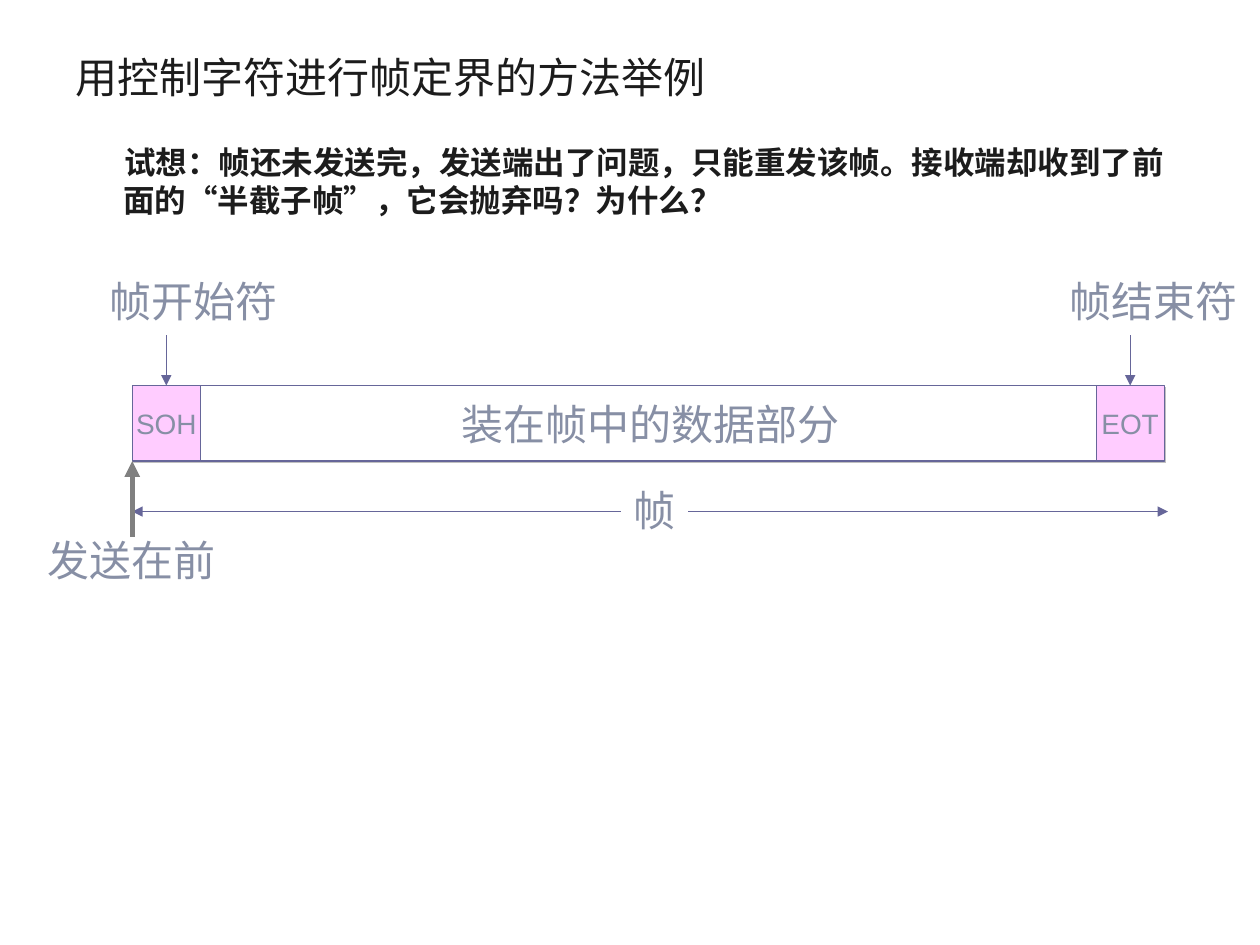
from pptx import Presentation
from pptx.dml.color import RGBColor
from pptx.enum.lang import MSO_LANGUAGE_ID
from pptx.enum.shapes import MSO_CONNECTOR, MSO_SHAPE
from pptx.enum.text import MSO_ANCHOR, PP_ALIGN
from pptx.oxml.ns import qn
from pptx.util import Pt
from lxml import etree

RECT = MSO_SHAPE.RECTANGLE
LINE = MSO_CONNECTOR.STRAIGHT
LEFT, CENTER = PP_ALIGN.LEFT, PP_ALIGN.CENTER
TOP, MIDDLE = MSO_ANCHOR.TOP, MSO_ANCHOR.MIDDLE
CHINESE = MSO_LANGUAGE_ID.SIMPLIFIED_CHINESE

PX = 9144  # 100 px to the inch
SANS, HAN = "Arial", "Noto Sans CJK SC"
COLORS = {
    "ink": "1C1C1C", "label": "878FA5", "edge": "666699", "pink": "FFCCFF",
    "white": "FFFFFF", "shade": "C0C0C0", "gray": "808080",
}


def color(name):
    return RGBColor.from_string(COLORS[name])


def emu(*px):
    return [round(n * PX) for n in px]


def sub(parent, tag, **attrs):
    return etree.SubElement(parent, qn(tag), attrs)


def write(shape, text, size, face=SANS, ink="label", bold=False,
          align=LEFT, anchor=TOP, wrap=False):
    frame = shape.text_frame
    frame.text = text
    for key, val in {"word_wrap": wrap, "vertical_anchor": anchor}.items():
        setattr(frame, key, val)
    para = frame.paragraphs[0]
    para.alignment = align
    font = para.runs[0].font
    look = {"size": Pt(size), "bold": bold, "name": face, "language_id": CHINESE}
    for key, val in look.items():
        setattr(font, key, val)
    font.color.rgb = color(ink)
    sub(para.runs[0]._r.get_or_add_rPr(), "a:ea", typeface=face)
    return para


def label(slide, text, x, y, w, h=50):
    box = slide.shapes.add_textbox(*emu(x, y, w, h))
    write(box, text, 24)
    return box


def field(slide, text, size, fill, x, y, w, h):
    shape = slide.shapes.add_shape(RECT, *emu(x, y, w, h))
    shape.fill.solid()
    shape.fill.fore_color.rgb = color(fill)
    shape.line.color.rgb = color("edge")
    shape.line.width = Pt(0.75)
    # Small hard shadow to the lower right
    shape.shadow.inherit = False
    effects = shape._element.spPr.find(qn("a:effectLst"))
    shadow = sub(effects, "a:outerShdw", blurRad="0", dist="17780",
                 dir="2700000", algn="ctr", rotWithShape="0")
    sub(shadow, "a:srgbClr", val=COLORS["shade"])
    write(shape, text, size, align=CENTER, anchor=MIDDLE)
    return shape


def arrow(slide, x1, y1, x2, y2, ink="edge", width=0.75, both=False):
    line = slide.shapes.add_connector(LINE, *emu(x1, y1, x2, y2))
    line.line.color.rgb = color(ink)
    line.line.width = Pt(width)
    ends = ("a:headEnd", "a:tailEnd") if both else ("a:tailEnd",)
    for end in ends:
        sub(line.line._get_or_add_ln(), end, type="triangle")
    sub(line._element.spPr, "a:effectLst")
    return line


def heading(slide, x, y, w, h):
    title = slide.shapes.title
    title.left, title.top, title.width, title.height = emu(x, y, w, h)
    write(title, "用控制字符进行帧定界的方法举例", 24, HAN, "ink",
          anchor=MIDDLE, wrap=True)


def question(slide, x, y, w, h):
    box = slide.shapes.add_textbox(*emu(x, y, w, h))
    para = write(box, "试想：帧还未发送完，发送端出了问题，只能重发该帧。"
                 "接收端却收到了前面的“半截子帧”，它会抛弃吗？为什么？",
                 18, HAN, "ink", bold=True, wrap=True)
    para.line_spacing = Pt(22)
    margin, indent = emu(38, 1)
    props = para._p.get_or_add_pPr()
    props.set("marL", str(margin))
    props.set("indent", str(indent))


def diagram(slide, x, y, w, h):
    cell = 54
    last = x + w - cell

    # Frame fields
    start = field(slide, "SOH", 16, "pink", x, y, cell, h)
    field(slide, "装在帧中的数据部分", 24, "white", x + cell, y, 714, h)
    stop = field(slide, "EOT", 16, "pink", last, y, cell, h)

    # Delimiter names pointing at their fields
    for text, left, shape in (("帧开始符", x - 28, start),
                              ("帧结束符", last - 31, stop)):
        label(slide, text, left, y - 92, 153)
        mid = left + 55 if shape is start else last + cell // 2
        pointer = arrow(slide, mid, y - 40, mid, y)
        pointer.end_connect(shape, 0)
        pointer.begin_x = pointer.end_x

    # Length of the whole frame
    arrow(slide, x, y + 100, x + w + 3, y + 100, both=True)
    name = label(slide, "帧", x + 388, y + 74, 53)
    name.fill.solid()
    name.fill.fore_color.rgb = color("white")

    # Side that is sent first
    arrow(slide, x, y + h + 60, x, y + h, "gray", 3)
    label(slide, "发送在前", x - 77, y + 113, 153)


def main():
    deck = Presentation()
    deck.slide_width, deck.slide_height = emu(1000, 750)
    slide = deck.slides.add_slide(deck.slide_layouts[5])
    heading(slide, 50, 30, 900, 61)
    question(slide, 50, 108, 900, 523)
    diagram(slide, 105, 306, 819, 60)
    deck.save("out.pptx")


if __name__ == "__main__":
    main()
